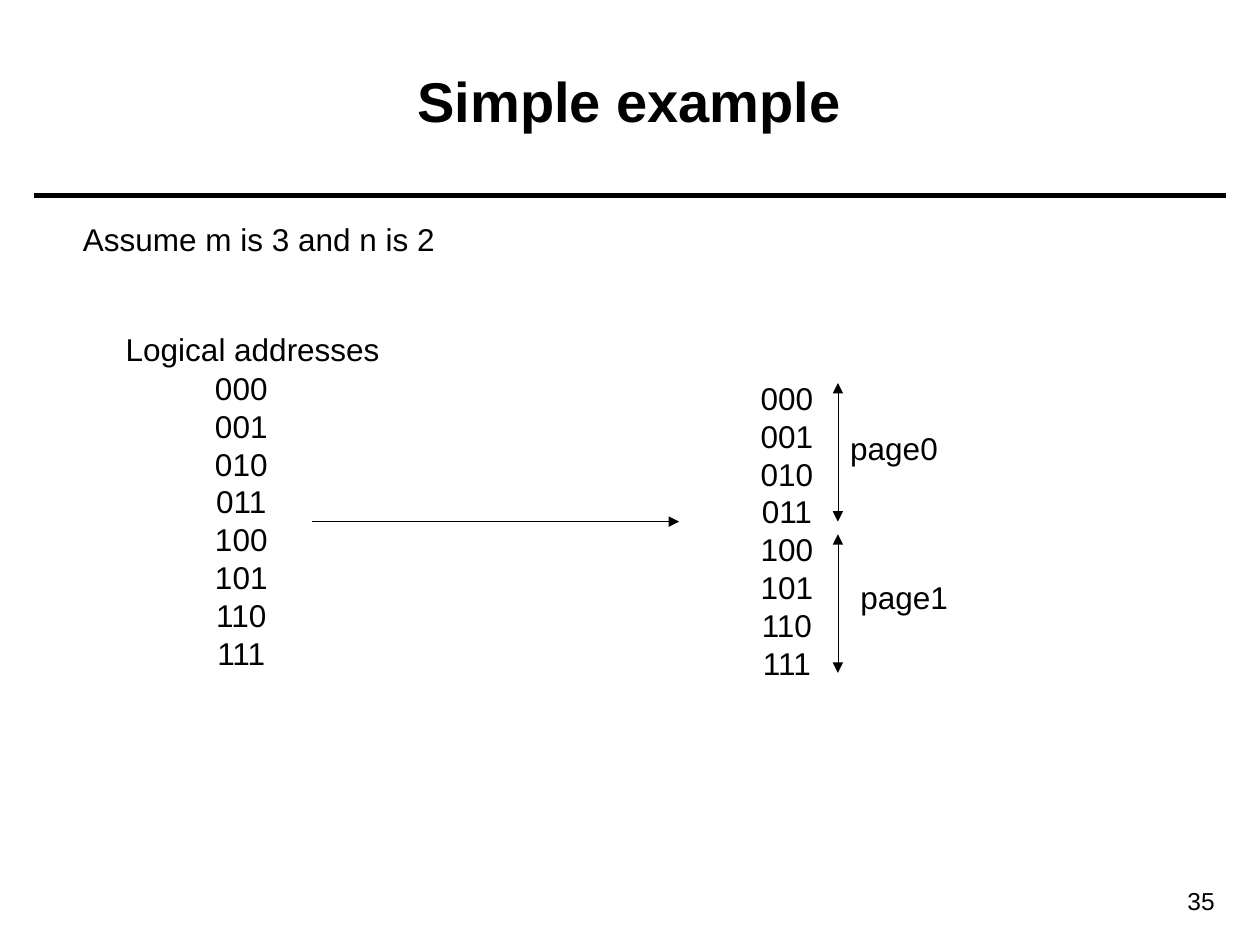
import pptx
import pptx.util
import pptx.dml.color
import pptx.enum.shapes
import pptx.enum.text
from lxml import etree

Inches, Pt = pptx.util.Inches, pptx.util.Pt
ALIGN = pptx.enum.text.PP_ALIGN
ANCHOR = pptx.enum.text.MSO_ANCHOR

# Content
TITLE = "Simple example"
ADDRESSES = [format(number, "03b") for number in range(8)]
PAGES = [("page0", 6.65, 3.36), ("page1", 6.73, 4.54)]
COLORS = {"ink": "000000", "paper": "FFFFFF"}
BODY = {"size": Pt(18), "bold": False, "name": "Arial"}
HEADING = {"size": Pt(32), "bold": True, "name": "Arial"}
FOOTER = {"size": Pt(14), "bold": False, "name": "Arial"}
# Narrow side margins keep each label on one line
LABEL_FRAME = {"word_wrap": False, "margin_left": Inches(0.05),
               "margin_right": Inches(0.05)}
FOOTER_FRAME = {"word_wrap": True}

# Layout, in inches
WIDTH, HEIGHT = 10, 7.5
RULE_MARGIN, RULE_TOP = 0.27, 1.55
LINE_HEIGHT = 0.4
COLUMN_SIZE = (0.61, 2.5)
LOGICAL_AT, PAGED_AT = (1.61, 2.88), (5.94, 2.96)
SPAN_X, SPAN_TOP, SPAN_LENGTH, SPAN_GAP = 6.65, 3.04, 1.1, 0.1

TEXTS = [
    (["Assume m is 3 and n is 2"], (0.56, 1.7, 2.99, LINE_HEIGHT)),
    (ADDRESSES, LOGICAL_AT + COLUMN_SIZE),
    (["Logical addresses"], (0.9, 2.57, 2.21, LINE_HEIGHT)),
    (ADDRESSES, PAGED_AT + COLUMN_SIZE),
] + [([label], (left, top, 0.89, LINE_HEIGHT)) for label, left, top in PAGES]


def color(name):
    return pptx.dml.color.RGBColor.from_string(COLORS[name])


def write(frame, lines, style, align):
    for index, line in enumerate(lines):
        para = frame.paragraphs[0] if index == 0 else frame.add_paragraph()
        para.alignment = align
        span = para.add_run()
        span.text = line
        for key, value in style.items():
            setattr(span.font, key, value)
        span.font.color.rgb = color("ink")


def add_text(page, lines, place, style=BODY, align=ALIGN.CENTER,
             frame_format=LABEL_FRAME):
    box = page.shapes.add_textbox(*map(Inches, place))
    for key, value in frame_format.items():
        setattr(box.text_frame, key, value)
    # The frame keeps its given size
    box.text_frame.auto_size = pptx.enum.text.MSO_AUTO_SIZE.NONE
    write(box.text_frame, lines, style, align)


def add_line(page, start, end, weight=0.25, heads=()):
    line = page.shapes.add_connector(
        pptx.enum.shapes.MSO_CONNECTOR.STRAIGHT, *map(Inches, start + end))
    line.line.color.rgb = color("ink")
    line.line.width = Pt(weight)
    properties = line.line._get_or_add_ln()
    namespace = "{" + properties.nsmap["a"] + "}"
    for head in heads:
        etree.SubElement(properties, namespace + head, type="triangle")
    etree.SubElement(line._element.spPr, namespace + "effectLst")


def main():
    deck = pptx.Presentation()
    deck.slide_width, deck.slide_height = Inches(WIDTH), Inches(HEIGHT)
    page = deck.slides.add_slide(deck.slide_layouts[5])
    page.background.fill.solid()
    page.background.fill.fore_color.rgb = color("paper")

    # Title, rule and page number
    title = page.shapes.title
    title.left, title.top, title.width, title.height = map(
        Inches, (0.35, 0.17, 9.29, 1.25))
    title.text_frame.vertical_anchor = ANCHOR.MIDDLE
    write(title.text_frame, [TITLE], HEADING, ALIGN.CENTER)
    add_line(page, (RULE_MARGIN, RULE_TOP), (WIDTH - RULE_MARGIN, RULE_TOP), 3)
    add_text(page, ["35"], (8.7, 6.98, 1.04, 0.34), FOOTER, ALIGN.RIGHT,
             FOOTER_FRAME)

    # Address columns and labels
    for lines, place in TEXTS:
        add_text(page, lines, place)

    # Mapping arrow, then one double arrow for each page
    add_line(page, (2.48, 4.14), (5.39, 4.14), heads=["tailEnd"])
    for index in range(len(PAGES)):
        top = SPAN_TOP + index * (SPAN_LENGTH + SPAN_GAP)
        add_line(page, (SPAN_X, top), (SPAN_X, top + SPAN_LENGTH),
                 heads=["headEnd", "tailEnd"])

    deck.save("out.pptx")


if __name__ == "__main__":
    main()
